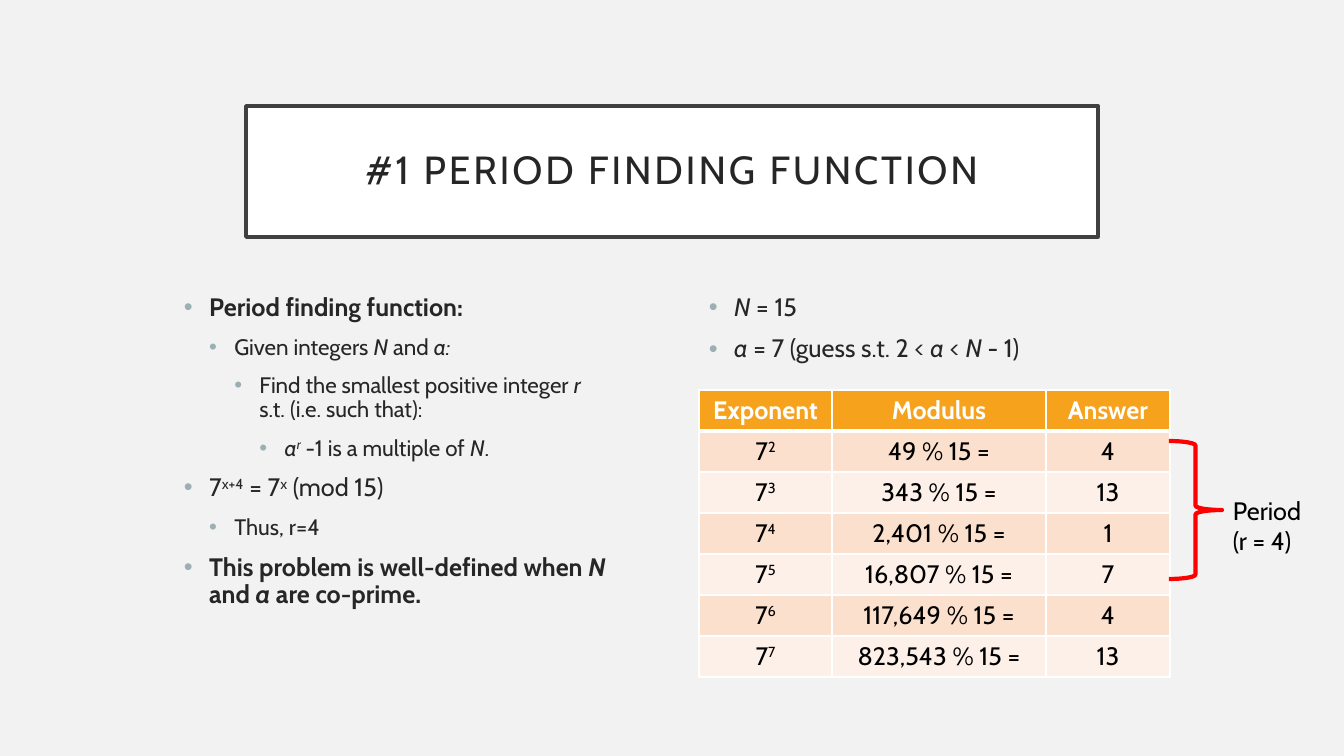
from dataclasses import dataclass

from lxml import etree
from pptx import Presentation
from pptx.dml.color import RGBColor
from pptx.enum.shapes import MSO_SHAPE
from pptx.enum.text import MSO_ANCHOR, MSO_AUTO_SIZE, PP_ALIGN
from pptx.oxml.ns import qn
from pptx.util import Pt

CENTER = PP_ALIGN.CENTER
MIDDLE = MSO_ANCHOR.MIDDLE
NO_AUTOFIT = MSO_AUTO_SIZE.NONE
TITLE_ONLY_LAYOUT = 5
RIGHT_BRACE = MSO_SHAPE.RIGHT_BRACE
EMU_PER_PX = 914400 / 100.8
BREAK = "\n"


@dataclass(frozen=True)
class Theme:
    font: str = "Cabin"
    background: str = "F2F2F2"
    white: str = "FFFFFF"
    black: str = "000000"
    text: str = "262626"
    frame: str = "404040"
    bullet: str = "9BAFB5"
    header: str = "F6A21D"
    bands: tuple = ("FBE0CD", "FDF0E8")
    accent: str = "FF0000"
    title_size: int = 28
    main_size: int = 18
    detail_size: int = 16


def px(length):
    return round(length * EMU_PER_PX)


def rgb(color):
    return RGBColor.from_string(color)


class SlideBuilder:
    def __init__(self, presentation, theme):
        self.theme = theme
        layout = presentation.slide_layouts[TITLE_ONLY_LAYOUT]
        self.slide = presentation.slides.add_slide(layout)
        fill = self.slide.background.fill
        fill.solid()
        fill.fore_color.rgb = rgb(theme.background)

    def add_runs(self, paragraph, pieces, size, color, bold=False):
        """Add pieces: plain strings, BREAK, or (text, flags) with i = italic, ^ = superscript."""
        for piece in pieces:
            if piece == BREAK:
                paragraph.add_line_break()
                line_break = paragraph._p.findall(qn("a:br"))[-1]
                etree.SubElement(line_break, qn("a:rPr"), sz=str(size * 100))
                continue
            text, flags = (piece, "") if isinstance(piece, str) else piece
            run = paragraph.add_run()
            run.text = text
            font = run.font
            font.name, font.size, font.bold = self.theme.font, Pt(size), bold
            font.italic = "i" in flags
            font.color.rgb = rgb(color)
            if "^" in flags:
                run._r.get_or_add_rPr().set("baseline", "30000")

    def title(self, text, left, top, width, height):
        shape = self.slide.shapes.title
        shape.left, shape.top, shape.width, shape.height = map(px, (left, top, width, height))
        shape.fill.solid()
        shape.fill.fore_color.rgb = rgb(self.theme.white)
        shape.line.color.rgb = rgb(self.theme.frame)
        shape.line.width = Pt(2.5)
        frame = shape.text_frame
        frame.auto_size, frame.vertical_anchor, frame.word_wrap = NO_AUTOFIT, MIDDLE, True
        frame.margin_left = frame.margin_right = frame.margin_top = frame.margin_bottom = px(20)
        paragraph = frame.paragraphs[0]
        paragraph.alignment, paragraph.line_spacing = CENTER, 0.9
        self.add_runs(paragraph, [text], self.theme.title_size, self.theme.text)
        paragraph.runs[0]._r.get_or_add_rPr().set("spc", "200")

    def text_box(self, left, top, width, height, wrap=True):
        box = self.slide.shapes.add_textbox(*map(px, (left, top, width, height)))
        box.text_frame.word_wrap = wrap
        return box.text_frame

    def bullet(self, paragraph, level):
        paragraph.level = level
        paragraph.line_spacing, paragraph.space_before = 0.9, Pt(10)
        properties = paragraph._p.get_or_add_pPr()
        indent = Pt(18)
        properties.set("marL", str(indent * (level + 1)))
        properties.set("indent", str(-indent))
        color = etree.SubElement(properties, qn("a:buClr"))
        etree.SubElement(color, qn("a:srgbClr"), val=self.theme.bullet)
        etree.SubElement(properties, qn("a:buFont"), typeface="Arial")
        etree.SubElement(properties, qn("a:buChar"), char="•")

    def bullets(self, items, left, top, width, height):
        """Add a list of (level, bold, pieces)."""
        frame = self.text_box(left, top, width, height)
        for index, (level, bold, pieces) in enumerate(items):
            paragraph = frame.add_paragraph() if index else frame.paragraphs[0]
            self.bullet(paragraph, level)
            size = self.theme.detail_size if level else self.theme.main_size
            self.add_runs(paragraph, pieces, size, self.theme.text, bold)

    def label(self, pieces, left, top, width, height):
        frame = self.text_box(left, top, width, height, wrap=False)
        self.add_runs(frame.paragraphs[0], pieces, self.theme.main_size, self.theme.black)

    def brace(self, left, top, width, height):
        shape = self.slide.shapes.add_shape(RIGHT_BRACE, *map(px, (left, top, width, height)))
        shape.shadow.inherit = False
        shape.fill.background()
        shape.line.color.rgb = rgb(self.theme.accent)
        shape.line.width = Pt(3)

    def borders(self, cell, bottom):
        properties = cell._tc.get_or_add_tcPr()
        for side, points in (("L", 1), ("R", 1), ("T", 1), ("B", bottom)):
            line = etree.SubElement(properties, qn(f"a:ln{side}"), w=str(Pt(points)))
            fill = etree.SubElement(line, qn("a:solidFill"))
            etree.SubElement(fill, qn("a:srgbClr"), val=self.theme.white)

    def table(self, rows, left, top, column_widths, row_height):
        theme = self.theme
        size = (sum(column_widths), row_height * len(rows))
        table = self.slide.shapes.add_table(
            len(rows), len(column_widths), *map(px, (left, top, *size))).table
        table.first_row = table.horz_banding = False
        for column, width in zip(table.columns, column_widths):
            column.width = px(width)
        for row_index, row in enumerate(rows):
            table.rows[row_index].height = px(row_height)
            is_header = row_index == 0
            fill = theme.header if is_header else theme.bands[(row_index - 1) % 2]
            color = theme.white if is_header else theme.black
            for column_index, pieces in enumerate(row):
                cell = table.cell(row_index, column_index)
                self.borders(cell, bottom=3 if is_header else 1)
                cell.fill.solid()
                cell.fill.fore_color.rgb = rgb(fill)
                paragraph = cell.text_frame.paragraphs[0]
                paragraph.alignment = CENTER
                self.add_runs(paragraph, pieces, theme.main_size, color, bold=is_header)


def power_rows(base, modulus, exponents):
    return [[[str(base), (str(exponent), "^")],
             [f"{base ** exponent:,} % {modulus} ="],
             [str(base ** exponent % modulus)]] for exponent in exponents]


def main():
    presentation = Presentation()
    presentation.slide_width, presentation.slide_height = px(1344), px(756)
    builder = SlideBuilder(presentation, Theme())
    n, a = ("N", "i"), ("a", "i")

    builder.title("#1 PERIOD FINDING FUNCTION", 246, 106, 852, 131)
    builder.bullets([
        (0, True, ["Period finding function:"]),
        (1, False, ["Given integers ", n, " and ", ("a:", "i")]),
        (2, False, ["Find the smallest positive integer ", ("r ", "i"), BREAK,
                    "s.t. (i.e. such that):"]),
        (3, False, [a, ("r", "i^"), " -1 is a multiple of ", n, "."]),
        (0, False, ["7", ("x+4", "^"), " = 7", ("x", "^"), " (mod 15)"]),
        (1, False, ["Thus, r=4"]),
        (0, True, ["This problem is well-defined when ", n, " and ", a, " are co-prime."]),
    ], 174, 290, 471, 342)
    builder.bullets([
        (0, False, [n, " = 15"]),
        (0, False, [a, " = 7 (guess s.t. 2 < ", a, " < ", n, " - 1)"]),
    ], 699, 290, 471, 87)

    header = [["Exponent"], ["Modulus"], ["Answer"]]
    builder.table([header, *power_rows(7, 15, range(2, 8))], 699, 390, (133, 214, 124), 41)
    builder.brace(1169, 441, 53, 138)
    builder.label(["Period ", BREAK, "(r = 4)"], 1223, 490, 95, 72)
    presentation.save("out.pptx")


if __name__ == "__main__":
    main()
